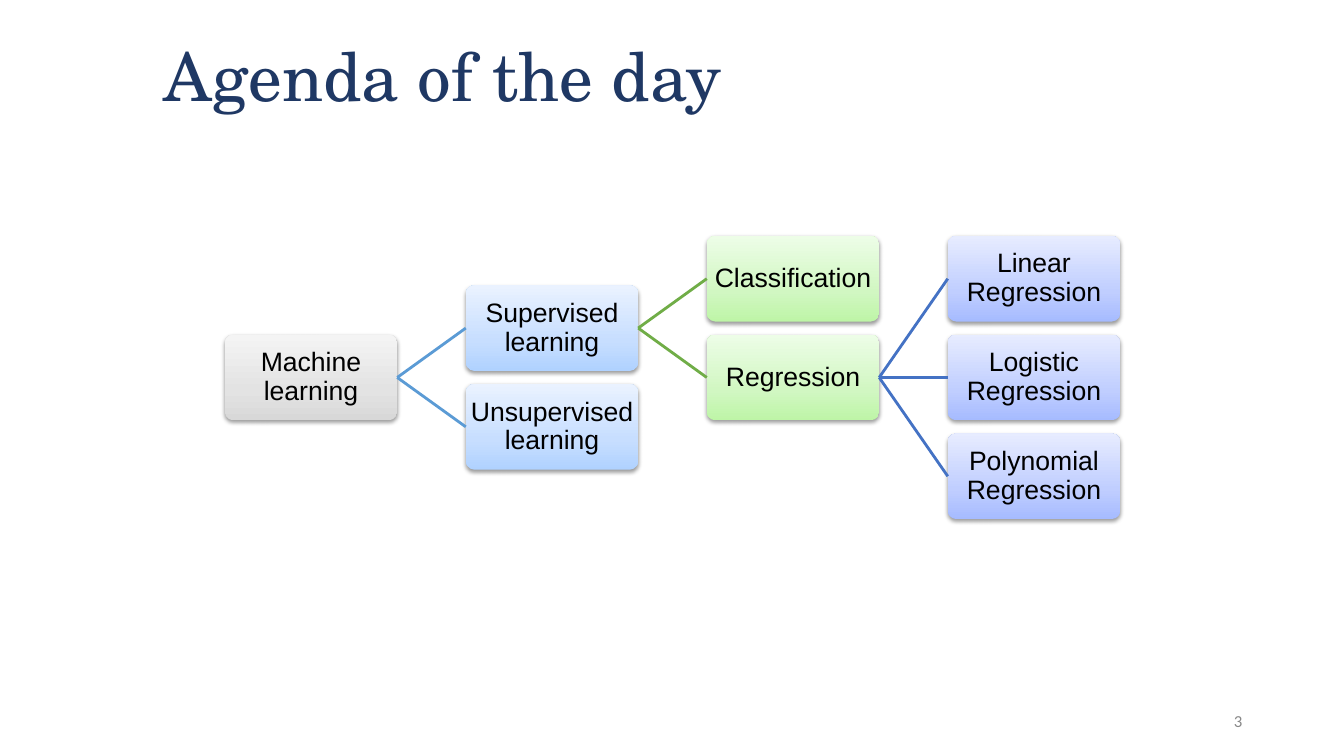
from copy import deepcopy
from dataclasses import dataclass

import lxml.etree
import pptx
import pptx.dml.color
import pptx.enum.shapes
import pptx.enum.text
import pptx.oxml
import pptx.oxml.ns
import pptx.util

Inches = pptx.util.Inches
Pt = pptx.util.Pt
RGBColor = pptx.dml.color.RGBColor
Align = pptx.enum.text.PP_ALIGN
qn = pptx.oxml.ns.qn

# Colours
BLACK = RGBColor(0x00, 0x00, 0x00)
NAVY = RGBColor(0x1F, 0x38, 0x64)
GRAY = RGBColor(0x88, 0x88, 0x88)
STEEL = RGBColor(0x5B, 0x9B, 0xD5)
GREEN = RGBColor(0x70, 0xAD, 0x47)
BLUE = RGBColor(0x44, 0x72, 0xC4)

# Gradient of each column, from bottom to top
FILLS = [
    (RGBColor(0xD8, 0xD8, 0xD8), RGBColor(0xE3, 0xE3, 0xE3), RGBColor(0xF4, 0xF4, 0xF4)),
    (RGBColor(0xB0, 0xD2, 0xFF), RGBColor(0xC7, 0xDE, 0xFF), RGBColor(0xEA, 0xF2, 0xFF)),
    (RGBColor(0xBE, 0xF5, 0xA7), RGBColor(0xD1, 0xF7, 0xC2), RGBColor(0xED, 0xFD, 0xE7)),
    (RGBColor(0xA6, 0xBB, 0xFF), RGBColor(0xC0, 0xCE, 0xFF), RGBColor(0xE7, 0xEC, 0xFF)),
]
STOPS = (0, 0.35, 1)
LINKS = [None, STEEL, GREEN, BLUE]  # line into each column

# Tree grid: rows count in half steps
LEFT, TOP = 2.23, 2.34
WIDE, HIGH = 1.71, 0.85
STEP_X, STEP_Y = 2.39, 0.49


@dataclass
class Node:
    text: str
    col: int
    row: int
    parent: str = ""


NODES = [
    Node("Machine learning", 0, 2),
    Node("Supervised learning", 1, 1, "Machine learning"),
    Node("Unsupervised learning", 1, 3, "Machine learning"),
    Node("Classification", 2, 0, "Supervised learning"),
    Node("Regression", 2, 2, "Supervised learning"),
    Node("Linear Regression", 3, 0, "Regression"),
    Node("Logistic Regression", 3, 2, "Regression"),
    Node("Polynomial Regression", 3, 4, "Regression"),
]


def set_text(shape, text: str, font: str, size: int, color: RGBColor,
             align: Align, space: float = 1.0) -> None:
    frame = shape.text_frame
    frame.text = text
    frame.word_wrap = True
    frame.vertical_anchor = pptx.enum.text.MSO_ANCHOR.MIDDLE
    para = frame.paragraphs[0]
    para.alignment = align
    para.line_spacing = space
    style = para.runs[0].font
    style.name, style.size = font, Pt(size)
    style.color.rgb = color


def shade(shape, colors: tuple[RGBColor, ...]) -> None:
    shape.fill.gradient()
    shape.fill.gradient_angle = 90
    first = next(shape._element.spPr.iter(qn("a:gs")))
    first.addnext(deepcopy(first))
    for stop, place, color in zip(shape.fill.gradient_stops, STOPS, colors):
        stop.position = place
        stop.color.rgb = color


def add_shadow(shape) -> None:
    shape.shadow.inherit = False
    effects = shape._element.spPr.find(qn("a:effectLst"))
    outer = lxml.etree.SubElement(
        effects, qn("a:outerShdw"), blurRad=str(Pt(3.1)), dist=str(Pt(1.6)),
        dir="5400000", rotWithShape="0")
    color = lxml.etree.SubElement(outer, qn("a:srgbClr"), val=str(BLACK))
    lxml.etree.SubElement(color, qn("a:alpha"), val="38000")


def add_node(slide, node: Node):
    box = slide.shapes.add_shape(
        pptx.enum.shapes.MSO_SHAPE.ROUNDED_RECTANGLE,
        Inches(LEFT + node.col * STEP_X), Inches(TOP + node.row * STEP_Y),
        Inches(WIDE), Inches(HIGH))
    box.adjustments[0] = 0.1
    shade(box, FILLS[node.col])
    box.line.fill.background()
    add_shadow(box)
    frame = box.text_frame
    frame.margin_left = frame.margin_right = Inches(0.01)
    frame.margin_top = frame.margin_bottom = Inches(0.01)
    set_text(box, node.text, "Arial", 19, BLACK, Align.CENTER, 0.9)
    return box


def add_link(slide, start, end, color: RGBColor) -> None:
    link = slide.shapes.add_connector(
        pptx.enum.shapes.MSO_CONNECTOR.STRAIGHT, 0, 0, 0, 0)
    link.begin_connect(start, 3)
    link.end_connect(end, 1)
    link.line.color.rgb = color
    link.line.width = Pt(2)
    lxml.etree.SubElement(link._element.spPr, qn("a:effectLst"))


def main() -> None:
    deck = pptx.Presentation()
    deck.slide_width, deck.slide_height = Inches(13.33), Inches(7.5)
    slide = deck.slides.add_slide(deck.slide_layouts[6])

    # Title and page number
    title = slide.shapes.add_textbox(
        Inches(1.52), Inches(0.07), Inches(10.17), Inches(1.45))
    set_text(title, "Agenda of the day", "TeX Gyre Schola", 48, NAVY, Align.LEFT, 0.9)
    page = slide.shapes.add_textbox(
        Inches(9.42), Inches(6.95), Inches(3), Inches(0.4))
    set_text(page, "3", "Calibri", 12, GRAY, Align.RIGHT)

    # Topic tree
    boxes = {}
    for node in NODES:
        boxes[node.text] = add_node(slide, node)
        if node.parent:
            add_link(slide, boxes[node.parent], boxes[node.text], LINKS[node.col])

    deck.save("out.pptx")


if __name__ == "__main__":
    main()
